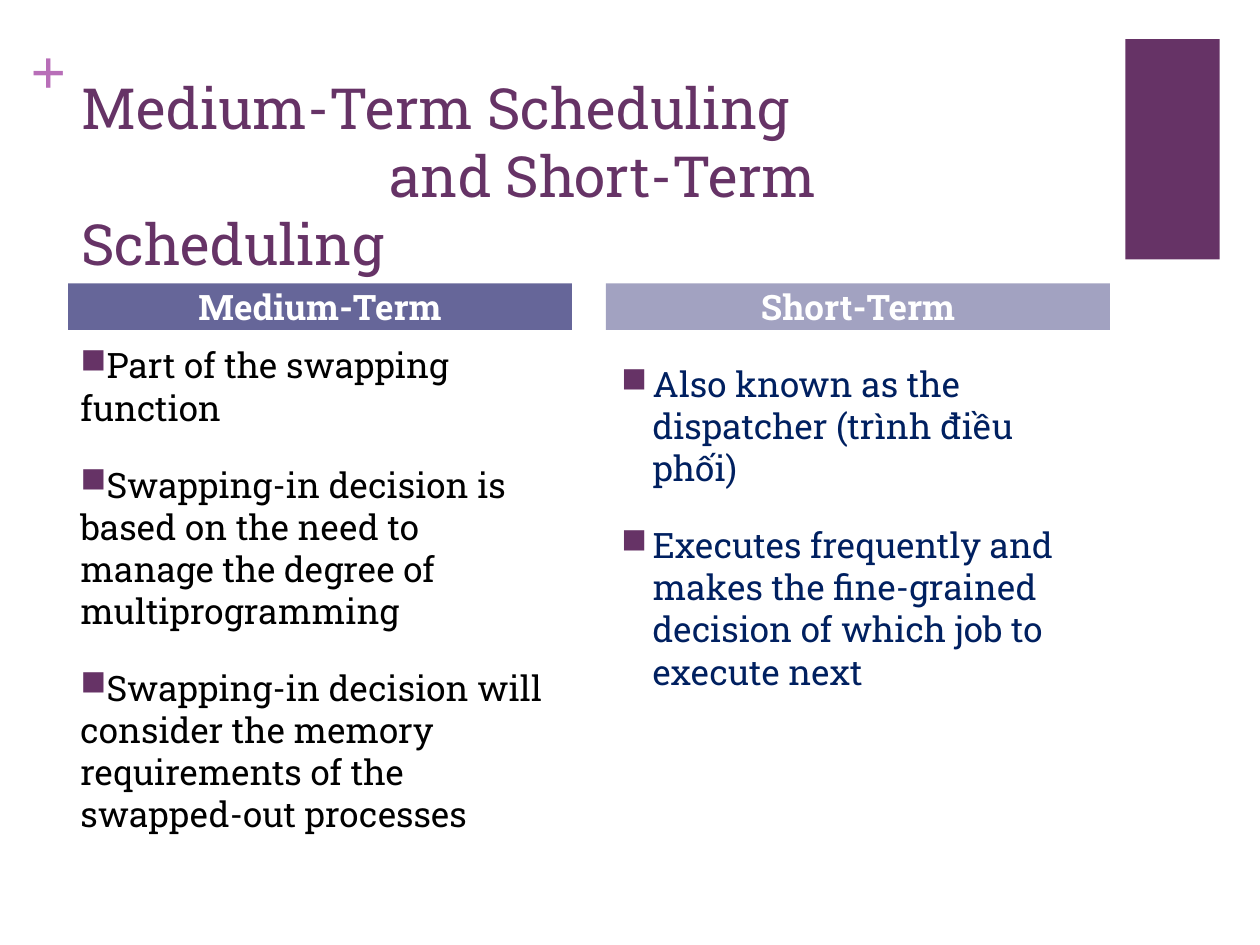
from lxml import etree
from pptx import Presentation
from pptx.dml.color import RGBColor
from pptx.enum import shapes, text
from pptx.oxml.ns import qn
from pptx.util import Pt

PURPLE = RGBColor(0x66, 0x33, 0x66)
ORCHID = RGBColor(0xB8, 0x6E, 0xB8)
SLATE = RGBColor(0x66, 0x66, 0x99)
LAVENDER = RGBColor(0xA2, 0xA2, 0xC1)
NAVY = RGBColor(0x00, 0x20, 0x60)
BLACK = RGBColor(0x00, 0x00, 0x00)
WHITE = RGBColor(0xFF, 0xFF, 0xFF)
FONT = "Roboto Slab"

MEDIUM_TERM = [
    "Part of the swapping function",
    "Swapping-in decision is based on the need to manage the degree of "
    "multiprogramming",
    "Swapping-in decision will consider the memory requirements of the "
    "swapped-out processes",
]
SHORT_TERM = [
    "Also known as the dispatcher (trình điều phối)",
    "Executes frequently and makes the fine-grained decision of which job "
    "to execute next",
]


def style(paragraph, size, color, bold=False, name=FONT):
    font = paragraph.font
    font.name, font.size, font.bold = name, Pt(size), bold
    font.color.rgb = color


def set_indent(paragraph, margin, first_line):
    properties = paragraph._p.get_or_add_pPr()
    properties.set("marL", str(Pt(margin)))
    properties.set("indent", str(Pt(first_line)))


def add_bullet(paragraph):
    properties = paragraph._p.get_or_add_pPr()
    color = etree.SubElement(properties, qn("a:buClr"))
    etree.SubElement(color, qn("a:srgbClr"), val=str(PURPLE))
    etree.SubElement(properties, qn("a:buChar"), char="■")


def add_text_frame(slide, left, top, width, height):
    box = slide.shapes.add_textbox(Pt(left), Pt(top), Pt(width), Pt(height))
    box.text_frame.word_wrap = True
    return box.text_frame


def add_bar(slide, left, top, width, height, color):
    bar = slide.shapes.add_shape(shapes.MSO_SHAPE.RECTANGLE, Pt(left), Pt(top),
                                 Pt(width), Pt(height))
    bar.shadow.inherit = False
    bar.fill.solid()
    bar.fill.fore_color.rgb = color
    bar.line.fill.background()
    return bar


def add_decoration(slide):
    # Corner block and plus sign
    add_bar(slide, 643, 22.3, 54, 126, PURPLE)
    frame = add_text_frame(slide, 17.3, 18, 21, 44)
    frame.margin_left = frame.margin_right = 0
    frame.margin_top = frame.margin_bottom = 0
    frame.word_wrap = False
    paragraph = frame.paragraphs[0]
    paragraph.text = "+"
    style(paragraph, 36, ORCHID, bold=True, name="Times New Roman")


def add_title(slide, left, top, width, height):
    frame = add_text_frame(slide, left, top, width, height)
    frame.text = "Medium-Term Scheduling\nand Short-Term Scheduling"
    for paragraph in frame.paragraphs:
        style(paragraph, 32.4, PURPLE)
    set_indent(frame.paragraphs[1], 0, 176)


def add_heading(slide, left, top, width, height, heading, color):
    frame = add_bar(slide, left, top, width, height, color).text_frame
    frame.margin_top = frame.margin_bottom = 0
    frame.vertical_anchor = text.MSO_ANCHOR.MIDDLE
    paragraph = frame.paragraphs[0]
    paragraph.text = heading
    paragraph.alignment = text.PP_ALIGN.CENTER
    style(paragraph, 20, WHITE, bold=True)


def add_bullet_list(slide, left, top, width, height, items, color, hanging):
    frame = add_text_frame(slide, left, top, width, height)
    frame.text = "\n".join(items)
    for index, paragraph in enumerate(frame.paragraphs):
        style(paragraph, 20, color)
        set_indent(paragraph, hanging, -hanging)
        paragraph.space_before = Pt(20 if index else 0)
        add_bullet(paragraph)


def main():
    presentation = Presentation()
    presentation.slide_width, presentation.slide_height = Pt(720), Pt(540)
    slide = presentation.slides.add_slide(presentation.slide_layouts[6])

    add_decoration(slide)
    add_title(slide, 39.6, 38.2, 594.7, 87.8)

    # Two columns: bullets below a heading bar
    add_bullet_list(slide, 38.9, 193, 288, 289.4, MEDIUM_TERM, BLACK, 0)
    add_bullet_list(slide, 347.8, 203.8, 288, 289.4, SHORT_TERM, NAVY, 18)
    add_heading(slide, 38.9, 162, 288, 26.6, "Medium-Term", SLATE)
    add_heading(slide, 346.3, 162, 288, 26.6, "Short-Term", LAVENDER)

    presentation.save("out.pptx")


if __name__ == "__main__":
    main()
